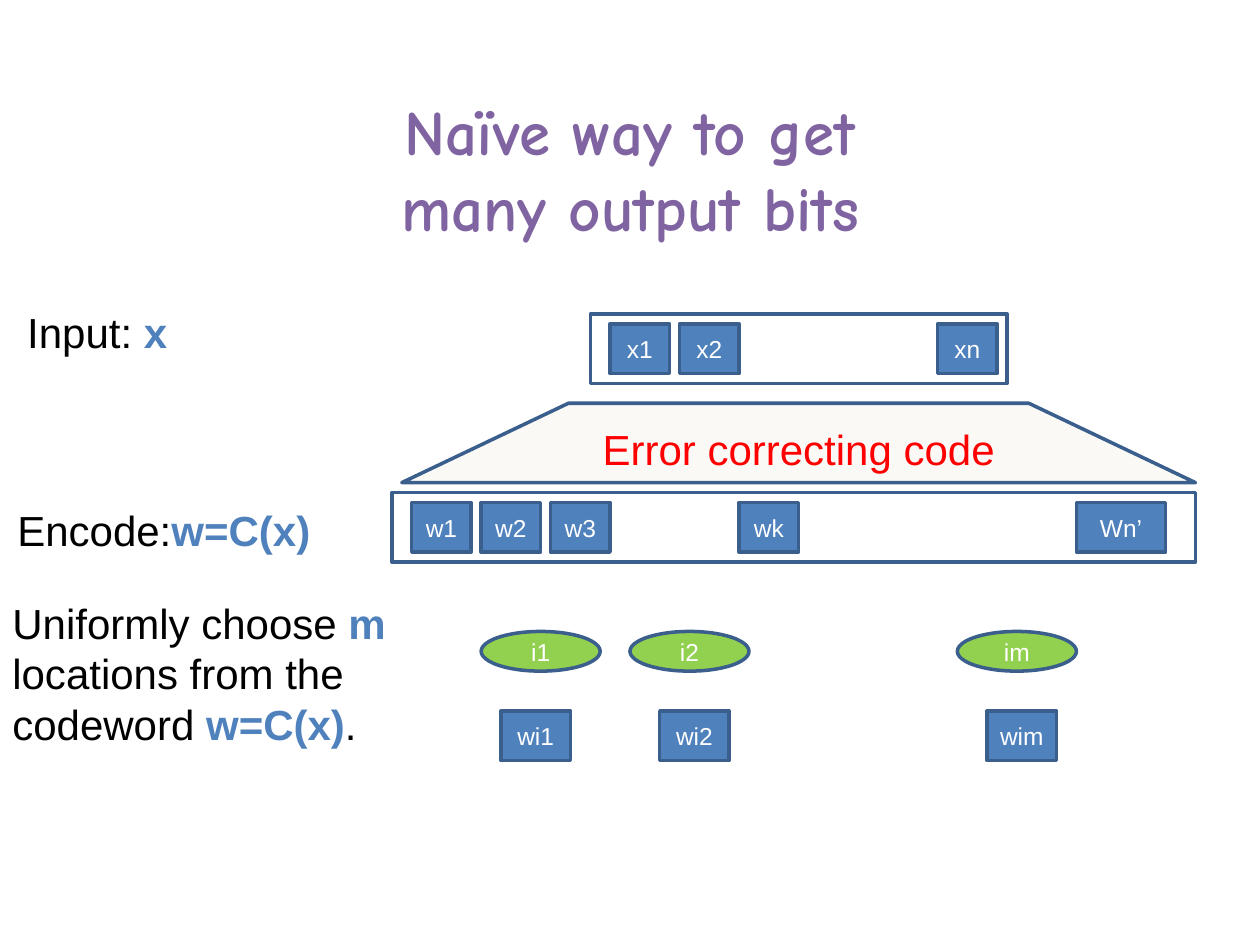
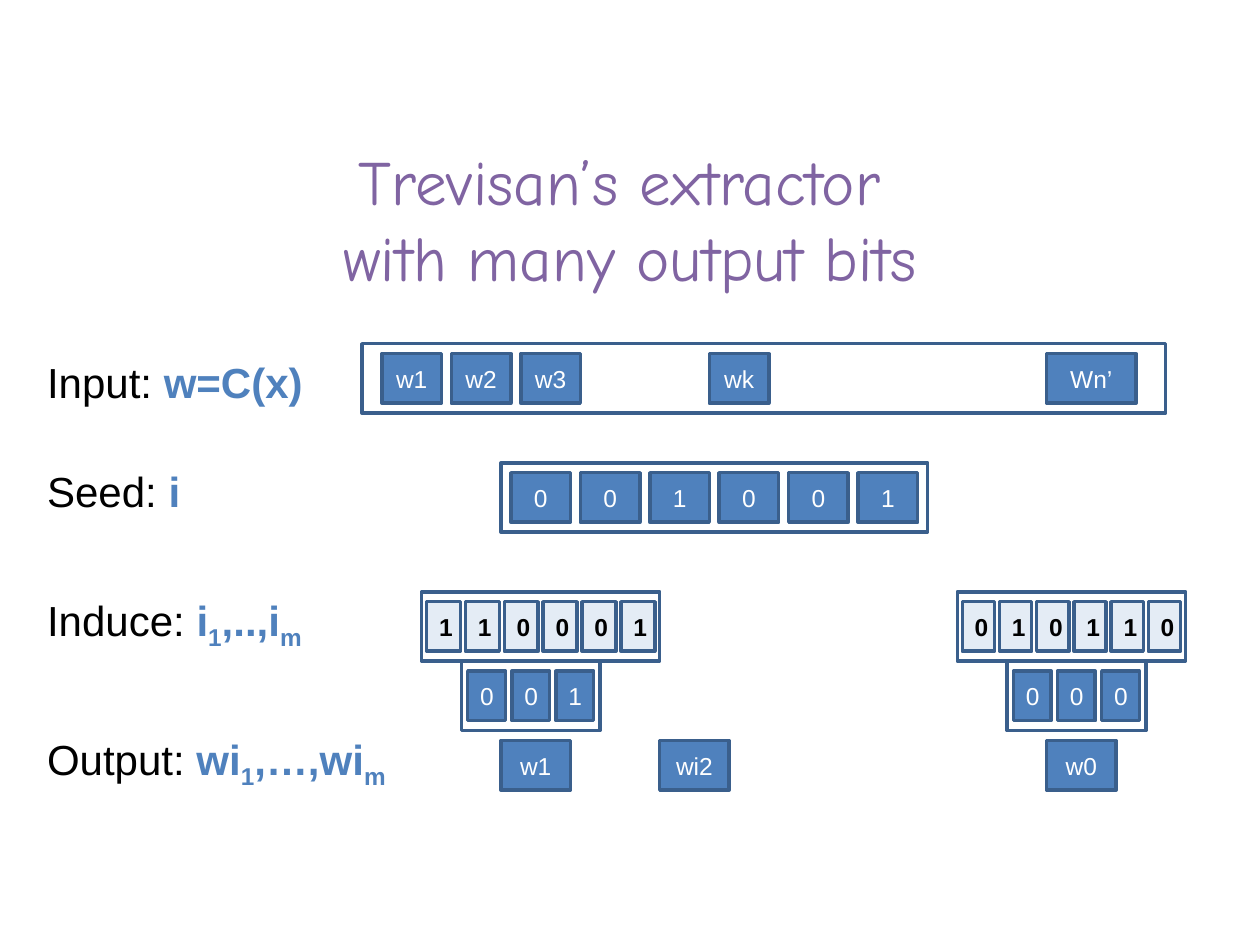
import pptx
import pptx.dml.color
import pptx.enum.shapes
import pptx.enum.text
import pptx.oxml.ns
import pptx.util

Cm = pptx.util.Cm
Pt = pptx.util.Pt
RGBColor = pptx.dml.color.RGBColor
Shape = pptx.enum.shapes.MSO_SHAPE
qn = pptx.oxml.ns.qn

BLACK = RGBColor(0x00, 0x00, 0x00)
WHITE = RGBColor(0xFF, 0xFF, 0xFF)
RED = RGBColor(0xFF, 0x00, 0x00)
PURPLE = RGBColor(0x80, 0x64, 0xA2)
BLUE = RGBColor(0x4F, 0x81, 0xBD)
NAVY = RGBColor(0x3A, 0x5F, 0x8C)
GREEN = RGBColor(0x92, 0xD0, 0x50)
CREAM = RGBColor(0xEE, 0xEC, 0xE1)

PLAIN, ACCENT, SUBSCRIPT = range(3)
ROW_HEIGHT = 1.4
CELL_HEIGHT = 1.0
CELL_WIDTH = 1.2
ROW_MARGIN = 0.2


class Painter:
    """Draws on the current page; all lengths are centimetres."""

    title_font = "Comic Neue"
    body_font = "Arial"
    title_size = 36
    label_size = 24
    cell_size = 14

    def __init__(self):
        self.deck = pptx.Presentation()
        self.deck.slide_width = Cm(25.4)
        self.deck.slide_height = Cm(19.05)
        self.page = None

    def span(self, para, text, size, color, bold=False, font=None):
        span = para.add_run()
        span.text = text
        span.font.name = font or self.body_font
        span.font.size = Pt(size)
        span.font.bold = bold
        span.font.color.rgb = color
        return span

    def new_page(self, lines, top, bold=False):
        layout = self.deck.slide_layouts.get_by_name("Title Only")
        self.page = self.deck.slides.add_slide(layout)
        title = self.page.shapes.title
        title.left, title.top = Cm(1.5), Cm(top)
        title.width, title.height = Cm(22.4), Cm(3.33)
        frame = title.text_frame
        frame.auto_size = pptx.enum.text.MSO_AUTO_SIZE.NONE
        frame.vertical_anchor = pptx.enum.text.MSO_ANCHOR.MIDDLE
        para = frame.paragraphs[0]
        para.alignment = pptx.enum.text.PP_ALIGN.CENTER
        for number, line in enumerate(lines):
            if number:
                para.add_line_break()
            self.span(para, line, self.title_size, PURPLE, bold, self.title_font)

    def label(self, left, top, width, height, parts, inset=0.25, space_before=6.4):
        """Add a text box from (text, style) parts."""
        box = self.page.shapes.add_textbox(Cm(left), Cm(top), Cm(width), Cm(height))
        frame = box.text_frame
        frame.word_wrap = True
        frame.margin_top = frame.margin_bottom = Cm(inset)
        para = frame.paragraphs[0]
        para.space_before = Pt(space_before)
        for text, style in parts:
            plain = style == PLAIN
            span = self.span(para, text, self.label_size,
                             BLACK if plain else BLUE, bold=not plain)
            if style == SUBSCRIPT:
                span.font._element.set("baseline", "-25000")

    def shape(self, kind, left, top, width, height, text="", fill=BLUE, opacity=100,
              color=WHITE, size=cell_size, bold=False):
        box = self.page.shapes.add_shape(kind, Cm(left), Cm(top), Cm(width), Cm(height))
        box.shadow.inherit = False
        if fill is None:
            box.fill.background()
        else:
            box.fill.solid()
            box.fill.fore_color.rgb = fill
        if opacity < 100:
            tint = box._element.spPr.find(qn("a:solidFill")).find(qn("a:srgbClr"))
            alpha = tint.makeelement(qn("a:alpha"), {"val": str(opacity * 1000)})
            tint.append(alpha)
        box.line.color.rgb = NAVY
        box.line.width = Pt(2)
        if text:
            para = box.text_frame.paragraphs[0]
            para.alignment = pptx.enum.text.PP_ALIGN.CENTER
            self.span(para, text, size, color, bold)
        return box

    def cell(self, left, top, text, width=CELL_WIDTH, **style):
        self.shape(Shape.RECTANGLE, left, top, width, CELL_HEIGHT, text, **style)

    def row(self, left, top, width, cells):
        """Add a frame holding (offset, text, width) cells."""
        self.shape(Shape.RECTANGLE, left, top, width, ROW_HEIGHT, fill=None)
        for offset, text, cell_width in cells:
            self.cell(left + offset, top + ROW_MARGIN, text, cell_width)

    def codeword(self, left, top):
        self.row(left, top, 16.2, [
            (0.4, "w1", CELL_WIDTH), (1.8, "w2", CELL_WIDTH), (3.2, "w3", CELL_WIDTH),
            (7.0, "wk", CELL_WIDTH), (13.8, "Wn’", 1.8)])

    def bits(self, left, top, width, digits, gap, **style):
        """Add a frame filled with equal cells, the gap also at both ends."""
        self.shape(Shape.RECTANGLE, left, top, width, ROW_HEIGHT, fill=None)
        bit_width = (width - gap) / len(digits) - gap
        for number, digit in enumerate(digits):
            self.cell(left + gap + number * (bit_width + gap), top + ROW_MARGIN,
                      digit, bit_width, **style)

    def chosen(self, top, lefts, names):
        for left, name in zip(lefts, names):
            self.cell(left, top, name, 1.4)


def naive_page(painter):
    painter.new_page(["Naïve way to get", "many output bits"], 1.73, bold=True)
    painter.label(0.1, 9.93, 6.6, 1.6, [("Encode:", PLAIN), ("w=C(x)", ACCENT)])
    painter.codeword(7.9, 9.93)
    painter.row(11.9, 6.33, 8.4, [
        (0.4, "x1", CELL_WIDTH), (1.8, "x2", CELL_WIDTH), (7.0, "xn", CELL_WIDTH)])
    painter.label(0.3, 5.93, 5.8, 1.6, [("Input:", PLAIN), (" x", ACCENT)])

    encoder = painter.shape(Shape.TRAPEZOID, 8.1, 8.13, 16, 1.6, "Error correcting code",
                            CREAM, 29, RED, painter.label_size)
    encoder.adjustments[0] = 2.1

    for left, index in zip((9.7, 12.7, 19.3), ("i1", "i2", "im")):
        painter.shape(Shape.OVAL, left, 12.73, 2.4, 0.8, index, GREEN)
    painter.chosen(14.33, (10.1, 13.3, 19.9), ("wi1", "wi2", "wim"))
    painter.label(0, 11.91, 8.1, 3.33, [
        ("Uniformly choose ", PLAIN), ("m", ACCENT),
        (" locations from the codeword ", PLAIN), ("w=C(x)", ACCENT), (".", PLAIN)],
        inset=0.13, space_before=0)


def extractor_page(painter):
    painter.new_page(["Trevisan’s extractor ", "with many output bits"], 2.73)
    painter.label(0.7, 6.93, 5.8, 1.6, [("Input:", PLAIN), (" w=C(x)", ACCENT)])
    painter.label(0.7, 9.13, 5.6, 1.8, [("Seed: ", PLAIN), ("i", ACCENT)])
    painter.label(0.7, 11.73, 6.2, 1.8, [
        ("Induce: ", PLAIN), ("i", ACCENT), ("1", SUBSCRIPT),
        (",..,i", ACCENT), ("m", SUBSCRIPT)])
    painter.label(0.7, 14.53, 7.8, 1.8, [
        ("Output: ", PLAIN), ("wi", ACCENT), ("1", SUBSCRIPT),
        (",…,wi", ACCENT), ("m", SUBSCRIPT)])

    painter.codeword(7.3, 6.93)
    painter.bits(10.1, 9.33, 8.6, "001001", 0.2)
    for left, width, digits in ((8.5, 4.8, "110001"), (19.3, 4.6, "010110")):
        painter.bits(left, 11.93, width, digits, 0.1, opacity=15, color=BLACK, bold=True)
    for left, digits in ((9.3, "001"), (20.3, "000")):
        painter.bits(left, 13.33, 2.8, digits, 0.13)
    painter.chosen(14.93, (10.1, 13.3, 21.1), ("w1", "wi2", "w0"))


def main():
    painter = Painter()
    naive_page(painter)
    extractor_page(painter)
    painter.deck.save("out.pptx")


if __name__ == "__main__":
    main()
